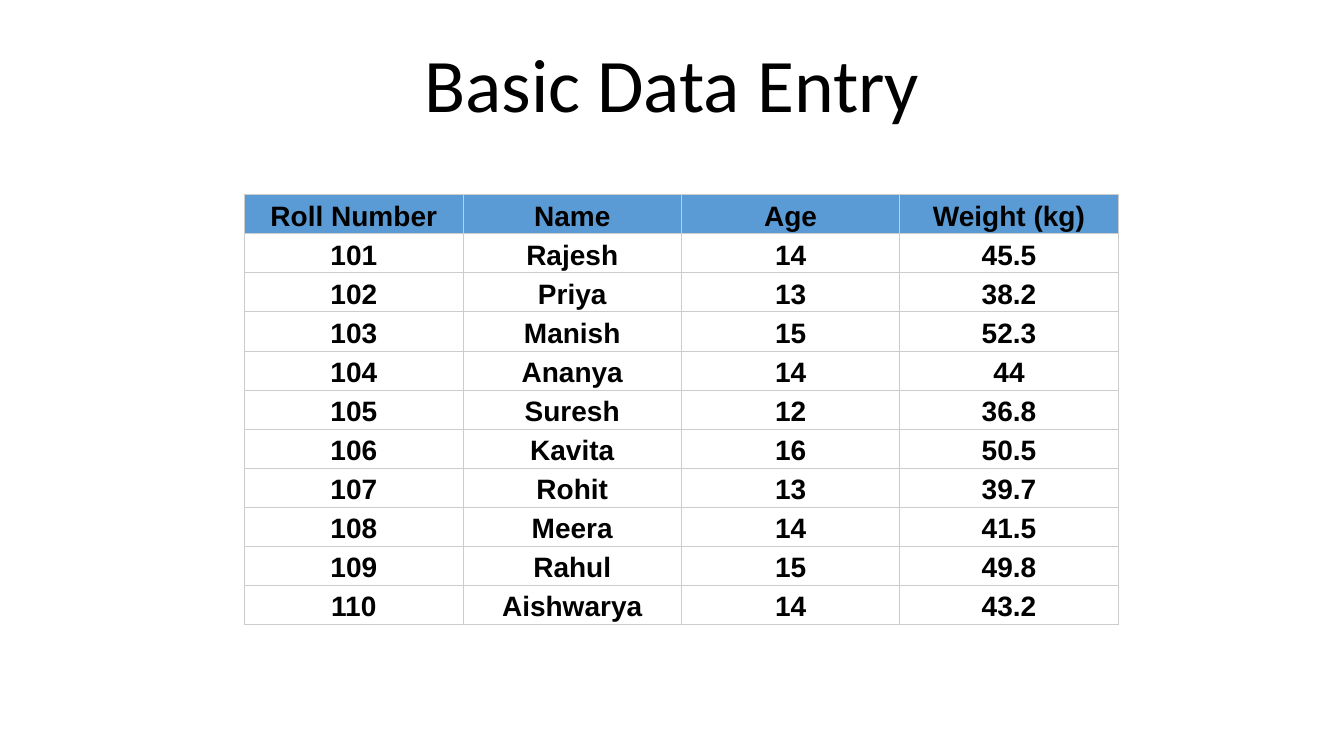
from dataclasses import astuple, dataclass

from lxml import etree
from pptx import Presentation
from pptx import util as u
from pptx.dml.color import RGBColor
from pptx.enum import text
from pptx.oxml import ns

PX = u.Inches(1) / 192
BLACK, WHITE, BLUE, GREY = "000000", "FFFFFF", "5B9BD5", "CCCCCC"
TABLE_LEFT, TABLE_TOP = 466, 371
COLUMN_WIDTH, ROW_HEIGHT = 416, 64
SIDE_MARGIN, END_MARGIN = 5, 3
BORDER_WIDTH = u.Pt(0.75)
HEADINGS = ("Roll Number", "Name", "Age", "Weight (kg)")


@dataclass(frozen=True)
class Student:
    roll: int
    name: str
    age: int
    weight: str


STUDENTS = [
    Student(101, "Rajesh", 14, "45.5"),
    Student(102, "Priya", 13, "38.2"),
    Student(103, "Manish", 15, "52.3"),
    Student(104, "Ananya", 14, "44"),
    Student(105, "Suresh", 12, "36.8"),
    Student(106, "Kavita", 16, "50.5"),
    Student(107, "Rohit", 13, "39.7"),
    Student(108, "Meera", 14, "41.5"),
    Student(109, "Rahul", 15, "49.8"),
    Student(110, "Aishwarya", 14, "43.2"),
]


def px(length: int) -> u.Emu:
    """Turn a length in px into EMU."""
    return u.Emu(round(length * PX))


def color(code: str) -> RGBColor:
    """Turn a hex string into a colour."""
    return RGBColor.from_string(code)


def format_para(para, font: str, size: int, spacing: float, bold: bool) -> None:
    """Centre a paragraph and set its font and line spacing."""
    para.alignment = text.PP_ALIGN.CENTER
    para.line_spacing = spacing
    para.font.name = font
    para.font.size = u.Pt(size)
    para.font.bold = bold
    para.font.color.rgb = color(BLACK)


def add_borders(cell) -> None:
    """Draw a thin grey line on every side of a cell."""
    properties = cell._tc.get_or_add_tcPr()
    for side in ("a:lnL", "a:lnR", "a:lnT", "a:lnB"):
        line = etree.SubElement(properties, ns.qn(side), w=str(BORDER_WIDTH))
        fill = etree.SubElement(line, ns.qn("a:solidFill"))
        etree.SubElement(fill, ns.qn("a:srgbClr"), val=GREY)


def fill_cell(cell, value: str, fill: str) -> None:
    """Write a value in a cell and format the cell."""
    cell.text = value
    cell.margin_left = cell.margin_right = px(SIDE_MARGIN)
    cell.margin_top = cell.margin_bottom = px(END_MARGIN)
    cell.vertical_anchor = text.MSO_ANCHOR.BOTTOM
    format_para(cell.text_frame.paragraphs[0], "Arial", 20, 1.15, True)
    add_borders(cell)
    cell.fill.solid()
    cell.fill.fore_color.rgb = color(fill)


def add_title(page) -> None:
    """Place and format the slide title."""
    title = page.shapes.title
    title.left, title.top, title.width, title.height = map(px, (320, 84, 1920, 171))
    frame = title.text_frame
    frame.text = "Basic Data Entry"
    frame.auto_size = text.MSO_AUTO_SIZE.NONE
    frame.vertical_anchor = text.MSO_ANCHOR.BOTTOM
    format_para(frame.paragraphs[0], "Calibri", 54, 0.9, False)


def add_student_table(page) -> None:
    """Add the table of students under its heading row."""
    records = [HEADINGS, *map(astuple, STUDENTS)]
    rows, columns = len(records), len(HEADINGS)
    table = page.shapes.add_table(
        rows, columns, px(TABLE_LEFT), px(TABLE_TOP),
        px(columns * COLUMN_WIDTH), px(rows * ROW_HEIGHT),
    ).table
    table.horz_banding = False
    for row, record in enumerate(records):
        for column, value in enumerate(record):
            fill_cell(table.cell(row, column), str(value), WHITE if row else BLUE)


def main() -> None:
    """Build the deck and save it."""
    deck = Presentation()
    deck.slide_width, deck.slide_height = px(2560), px(1440)
    page = deck.slides.add_slide(deck.slide_layouts.get_by_name("Title Only"))
    add_title(page)
    add_student_table(page)
    deck.save("out.pptx")


if __name__ == "__main__":
    main()
